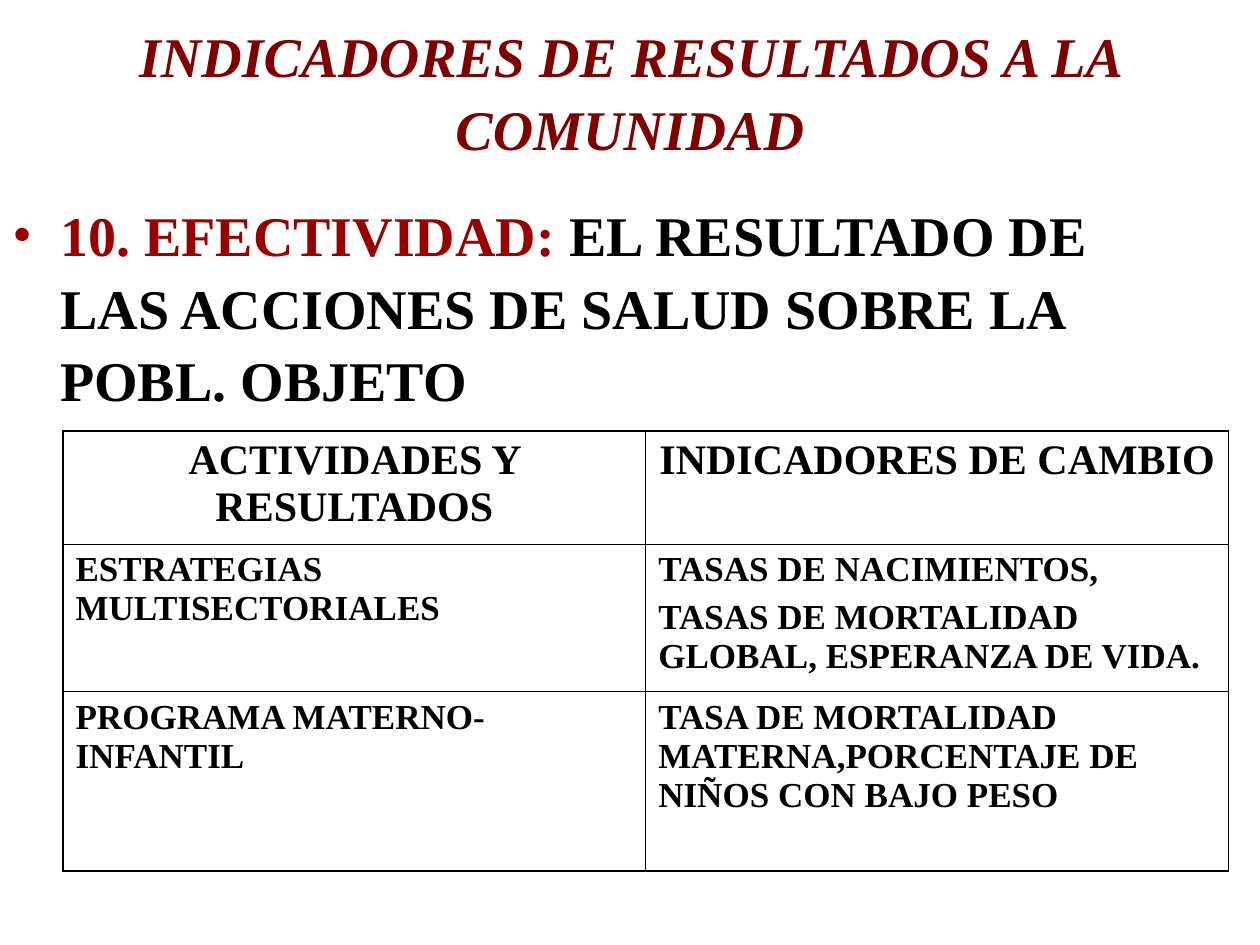
import pptx
import pptx.util
import pptx.dml.color
import pptx.enum.text
import pptx.oxml.ns
import lxml.etree

FONT = "Times New Roman"
COLORS = {"title": "800000", "accent": "990000", "text": "000000"}
TITLE = "INDICADORES DE RESULTADOS A LA COMUNIDAD"
BODY = [
    ("10. EFECTIVIDAD: ", "accent"),
    ("EL RESULTADO DE LAS ACCIONES DE SALUD SOBRE LA POBL. OBJETO", "text"),
]
ROWS = [
    ("ACTIVIDADES Y RESULTADOS", "INDICADORES DE CAMBIO"),
    ("ESTRATEGIAS MULTISECTORIALES",
     "TASAS DE NACIMIENTOS,\nTASAS DE MORTALIDAD GLOBAL, ESPERANZA DE VIDA."),
    ("PROGRAMA MATERNO-INFANTIL",
     "TASA DE MORTALIDAD MATERNA,PORCENTAJE DE NIÑOS CON BAJO PESO"),
]
ROW_HEIGHTS = [0.9, 1.17, 1.42]
TABLE_LEFT, TABLE_TOP, TABLE_WIDTH = 0.5, 3.42, 9.25
OUTER, INNER = 1.08, 0.45

Inches, Pt = pptx.util.Inches, pptx.util.Pt
ALIGN = pptx.enum.text.PP_ALIGN
ANCHOR = pptx.enum.text.MSO_ANCHOR
qn = pptx.oxml.ns.qn


def style(r, size, color, italic=False):
    r.font.name = FONT
    r.font.size = Pt(size)
    r.font.bold = True
    r.font.italic = italic
    r.font.color.rgb = pptx.dml.color.RGBColor.from_string(COLORS[color])


def add_text(slide, box, anchor):
    tf = slide.shapes.add_textbox(*map(Inches, box)).text_frame
    tf.word_wrap = True
    tf.vertical_anchor = anchor
    p = tf.paragraphs[0]
    p.line_spacing = 1.08
    return p


def add_bullet(p, indent, color):
    pPr = p._p.get_or_add_pPr()
    pPr.set("marL", str(Inches(indent)))
    pPr.set("indent", str(-Inches(indent)))
    buClr = lxml.etree.SubElement(pPr, qn("a:buClr"))
    lxml.etree.SubElement(buClr, qn("a:srgbClr"), val=COLORS[color])
    lxml.etree.SubElement(pPr, qn("a:buFont"), typeface=FONT)
    lxml.etree.SubElement(pPr, qn("a:buChar"), char="•")


def set_borders(cell, widths):
    tcPr = cell._tc.get_or_add_tcPr()
    for side, width in widths.items():
        ln = lxml.etree.SubElement(tcPr, qn("a:ln" + side), w=str(Pt(width)))
        fill = lxml.etree.SubElement(ln, qn("a:solidFill"))
        lxml.etree.SubElement(fill, qn("a:srgbClr"), val=COLORS["text"])


def add_table(slide):
    n_rows, n_cols = len(ROWS), len(ROWS[0])
    frame = slide.shapes.add_table(
        n_rows, n_cols, Inches(TABLE_LEFT), Inches(TABLE_TOP),
        Inches(TABLE_WIDTH), Inches(sum(ROW_HEIGHTS)))
    table = frame.table
    table.first_row = table.horz_banding = False
    for col in table.columns:
        col.width = Inches(TABLE_WIDTH / n_cols)
    for i, texts in enumerate(ROWS):
        table.rows[i].height = Inches(ROW_HEIGHTS[i])
        for j, text in enumerate(texts):
            cell = table.cell(i, j)
            cell.text_frame.text = text
            set_borders(cell, {
                "L": OUTER if j == 0 else INNER,
                "R": OUTER if j == n_cols - 1 else INNER,
                "T": OUTER if i == 0 else INNER,
                "B": OUTER if i == n_rows - 1 else INNER,
            })
            cell.fill.background()
            for k, p in enumerate(cell.text_frame.paragraphs):
                p.alignment = ALIGN.CENTER if i == 0 else ALIGN.LEFT
                if k:
                    p.space_before = Pt(5)
                style(p.runs[0], 24 if i == 0 else 20, "text")


def main():
    prs = pptx.Presentation()
    prs.slide_width, prs.slide_height = Inches(10), Inches(7.5)
    slide = prs.slides.add_slide(prs.slide_layouts[6])

    p = add_text(slide, (0.75, 0.08, 8.5, 1.25), ANCHOR.MIDDLE)
    p.text = TITLE
    p.alignment = ALIGN.CENTER
    style(p.runs[0], 32, "title", italic=True)

    p = add_text(slide, (0, 1.5, 9.5, 1.75), ANCHOR.TOP)
    add_bullet(p, 0.38, "accent")
    for text, color in BODY:
        r = p.add_run()
        r.text = text
        style(r, 32, color)

    add_table(slide)
    prs.save("out.pptx")


if __name__ == "__main__":
    main()
